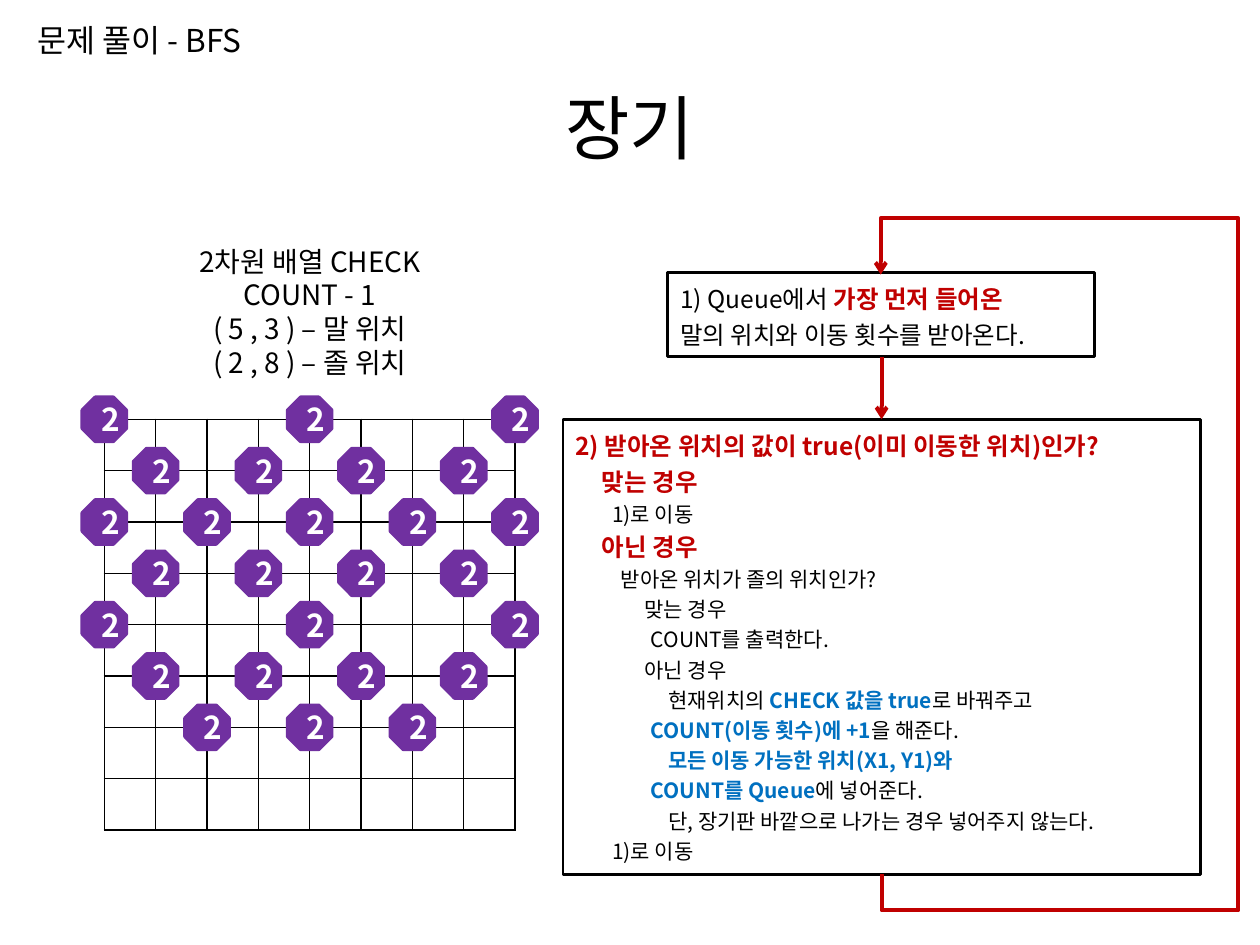
from lxml.etree import SubElement as Sub
from pptx import Presentation
from pptx.dml.color import RGBColor
from pptx.enum.shapes import MSO_CONNECTOR as Link, MSO_SHAPE as Kind
from pptx.enum.text import MSO_ANCHOR as Anchor, MSO_AUTO_SIZE as Fit, PP_ALIGN as Align
from pptx.oxml.ns import qn
from pptx.util import Pt

FONT = "Noto Sans CJK KR"
COLOURS = {"black": "000000", "white": "FFFFFF", "red": "C00000",
           "blue": "0070C0", "purple": "7030A0"}

# Board geometry
CELLS, PITCH = 8, 29.34
BOARD_LEFT, BOARD_TOP = 59.6, 239.6
PIECE = 25.2
PIECE_COLUMNS = [(0, 4, 8), (1, 3, 5, 7), (0, 2, 4, 6, 8), (1, 3, 5, 7),
                 (0, 4, 8), (1, 3, 5, 7), (2, 4, 6)]

# A line is (indent, size, spans); a span is (text, colour, bold)
QUEUE_STEP = [
    (0, 14, [("1) Queue에서 ", "black", False), ("가장 먼저 들어온", "red", True)]),
    (0, 14, [("말의 위치와 이동 횟수를 받아온다.", "black", False)]),
]
CHECK_STEP = [
    (0, 14, [("2) 받아온 위치의 값이 true(이미 이동한 위치)인가?", "red", True)]),
    (15, 14, [("맞는 경우", "red", True)]),
    (21, 12, [("1)로 이동", "black", False)]),
    (15, 14, [("아닌 경우", "red", True)]),
    (26, 12, [("받아온 위치가 졸의 위치인가?", "black", False)]),
    (39.5, 12, [("맞는 경우", "black", False)]),
    (43, 12, [("COUNT를 출력한다.", "black", False)]),
    (39.5, 12, [("아닌 경우", "black", False)]),
    (53, 12, [("현재위치의 ", "black", False), ("CHECK 값을 true", "blue", True),
              ("로 바꿔주고", "black", False)]),
    (43, 12, [("COUNT(이동 횟수)에 +1", "blue", True), ("을 해준다.", "black", False)]),
    (53, 12, [("모든 이동 가능한 위치(X1, Y1)와", "blue", True)]),
    (43, 12, [("COUNT를 Queue", "blue", True), ("에 넣어준다.", "black", False)]),
    (53, 12, [("단, 장기판 바깥으로 나가는 경우 넣어주지 않는다.", "black", False)]),
    (21, 12, [("1)로 이동", "black", False)]),
]


def rgb(name):
    return RGBColor.from_string(COLOURS[name])


def write(frame, lines, size=18, colour="black", bold=False, align=Align.LEFT,
          anchor=Anchor.TOP, spacing=None, fit=None):
    """Fill a text frame; plain strings take the keyword format."""
    frame.word_wrap = True
    frame.vertical_anchor = anchor
    if fit is not None:
        frame.auto_size = fit
    for index, line in enumerate(lines):
        if isinstance(line, str):
            line = (0, size, [(line, colour, bold)])
        indent, points, spans = line
        para = frame.add_paragraph() if index else frame.paragraphs[0]
        para.alignment = align
        if spacing:
            para.line_spacing = spacing
        if indent:
            para._p.get_or_add_pPr().set("marL", str(Pt(indent)))
        for text, tint, heavy in spans:
            span = para.add_run()
            span.text = text
            span.font.name = FONT
            span.font.size = Pt(points)
            span.font.bold = heavy
            span.font.color.rgb = rgb(tint)
            Sub(span._r.get_or_add_rPr(), qn("a:ea")).set("typeface", FONT)


def add_label(slide, left, top, width, height, lines, **style):
    box = slide.shapes.add_textbox(Pt(left), Pt(top), Pt(width), Pt(height))
    write(box.text_frame, lines, fit=Fit.SHAPE_TO_FIT_TEXT, **style)


def add_box(slide, kind, left, top, width, height, fill, line, weight):
    box = slide.shapes.add_shape(kind, Pt(left), Pt(top), Pt(width), Pt(height))
    box.shadow.inherit = False
    if fill:
        box.fill.solid()
        box.fill.fore_color.rgb = rgb(fill)
    else:
        box.fill.background()
    box.line.color.rgb = rgb(line)
    box.line.width = Pt(weight)
    return box


def add_step(slide, left, top, width, height, lines):
    box = add_box(slide, Kind.RECTANGLE, left, top, width, height, None, "black", 1.5)
    write(box.text_frame, lines, spacing=1.2, fit=Fit.SHAPE_TO_FIT_TEXT)


def add_arrow(slide, kind, *ends):
    arrow = slide.shapes.add_connector(kind, *[Pt(end) for end in ends])
    arrow.line.color.rgb = rgb("red")
    arrow.line.width = Pt(2.25)
    Sub(arrow.line._get_or_add_ln(), qn("a:tailEnd")).set("type", "arrow")
    Sub(arrow._element.spPr, qn("a:effectLst"))
    return arrow


def add_loop(slide, x, bottom, top, right, overshoot_start, overshoot_end):
    """Arrow that leaves downwards, runs round the right side and enters from above."""
    length, depth = bottom - top, 0.5
    middle = (top + bottom) / 2
    arrow = add_arrow(slide, Link.ELBOW, x + length / 2, middle - depth / 2,
                      x - length / 2, middle + depth / 2)
    arrow.rotation = 90
    shape = arrow._element.spPr.find(qn("a:prstGeom"))
    shape.set("prst", "bentConnector5")
    for old in list(shape):
        shape.remove(old)
    guides = Sub(shape, qn("a:avLst"))
    ratios = [-overshoot_start / length, (x - right) / depth, 1 + overshoot_end / length]
    for number, ratio in enumerate(ratios, 1):
        guide = Sub(guides, qn("a:gd"))
        guide.set("name", f"adj{number}")
        guide.set("fmla", f"val {round(ratio * 100000)}")


def add_border(cell):
    props = cell._tc.get_or_add_tcPr()
    for side in ("lnL", "lnR", "lnT", "lnB"):
        line = Sub(props, qn(f"a:{side}"))
        line.set("w", str(Pt(1)))
        Sub(Sub(line, qn("a:solidFill")), qn("a:srgbClr")).set("val", COLOURS["black"])


def add_board(slide):
    side = Pt(CELLS * PITCH)
    board = slide.shapes.add_table(CELLS, CELLS, Pt(BOARD_LEFT), Pt(BOARD_TOP),
                                   side, side).table
    board.first_row = board.horz_banding = False
    for column in board.columns:
        column.width = Pt(PITCH)
    for row in board.rows:
        row.height = Pt(PITCH)
    for cell in board.iter_cells():
        cell.margin_top = cell.margin_bottom = 0
        add_border(cell)
        cell.fill.background()


def add_pieces(slide):
    # Pieces sit on the crossings of the board lines
    for row, columns in enumerate(PIECE_COLUMNS):
        for column in columns:
            piece = add_box(slide, Kind.OCTAGON,
                            BOARD_LEFT + column * PITCH - PIECE / 2,
                            BOARD_TOP + row * PITCH - PIECE / 2,
                            PIECE, PIECE, "purple", "purple", 2)
            write(piece.text_frame, ["2"], colour="white", bold=True,
                  align=Align.CENTER, anchor=Anchor.MIDDLE)


def main():
    deck = Presentation()
    deck.slide_width, deck.slide_height = Pt(720), Pt(540)
    slide = deck.slides.add_slide(deck.slide_layouts[5])

    # Headings
    title = slide.shapes.title
    title.left, title.top, title.width, title.height = Pt(36), Pt(27.4), Pt(648), Pt(90)
    write(title.text_frame, ["장기"], size=40, align=Align.CENTER, anchor=Anchor.MIDDLE)
    add_label(slide, 14.4, 8.6, 203.8, 28.8, ["문제 풀이 - BFS"])

    # Board with its caption
    add_board(slide)
    add_pieces(slide)
    add_label(slide, 32.4, 136.1, 289.4, 104.4,
              ["2차원 배열 CHECK", "COUNT - 1", "( 5 , 3 ) – 말 위치", "( 2 , 8 ) – 졸 위치"],
              size=16, align=Align.CENTER)

    # Algorithm steps and their flow
    add_step(slide, 381.6, 155.6, 244, 48.2, QUEUE_STEP)
    add_step(slide, 321.8, 239.6, 364.3, 260.1, CHECK_STEP)
    add_loop(slide, 503.6, 499.7, 156.9, 703.4, 20.6, 32.3)
    add_arrow(slide, Link.STRAIGHT, 503.8, 203.8, 503.8, 239.6)

    deck.save("out.pptx")


main()
